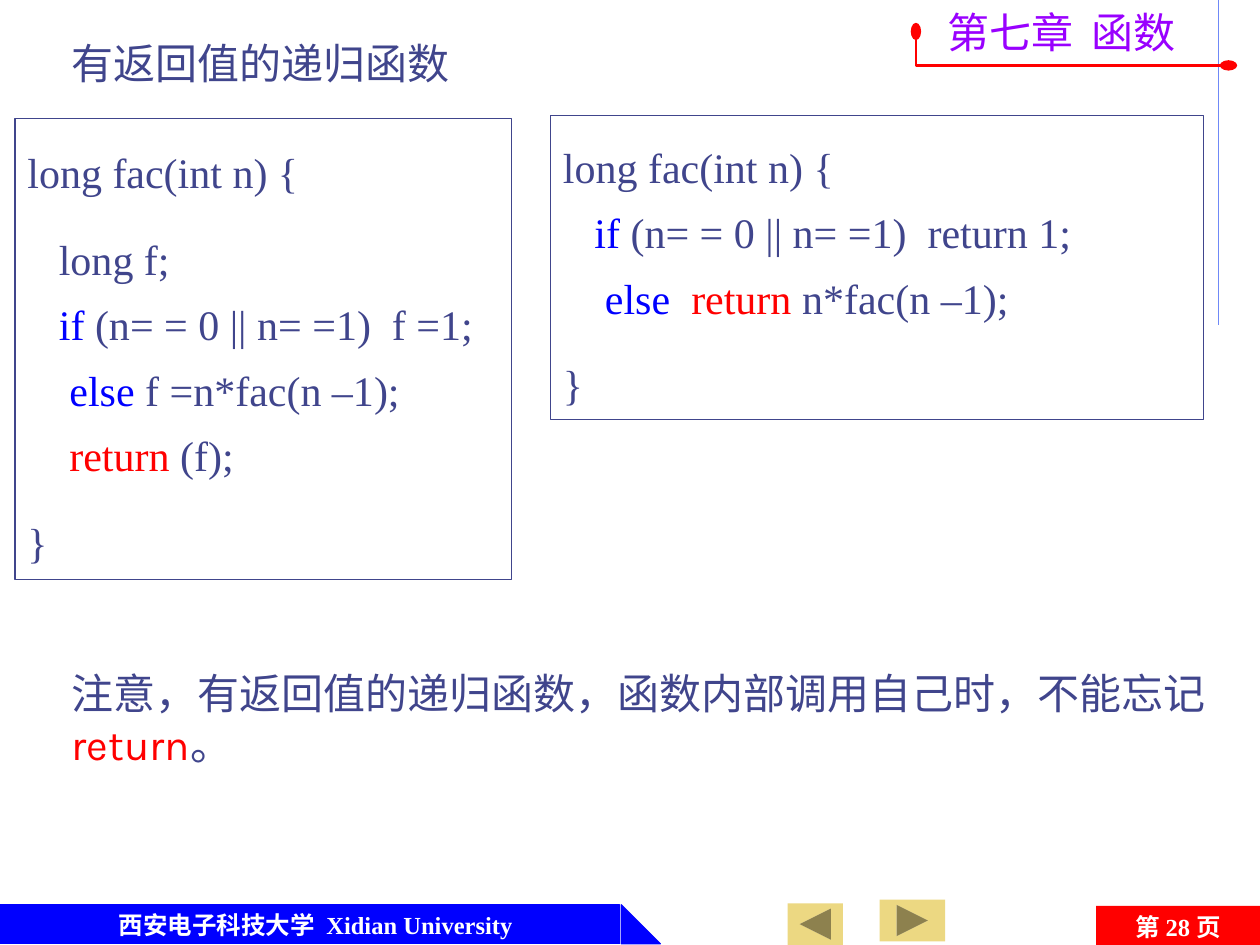
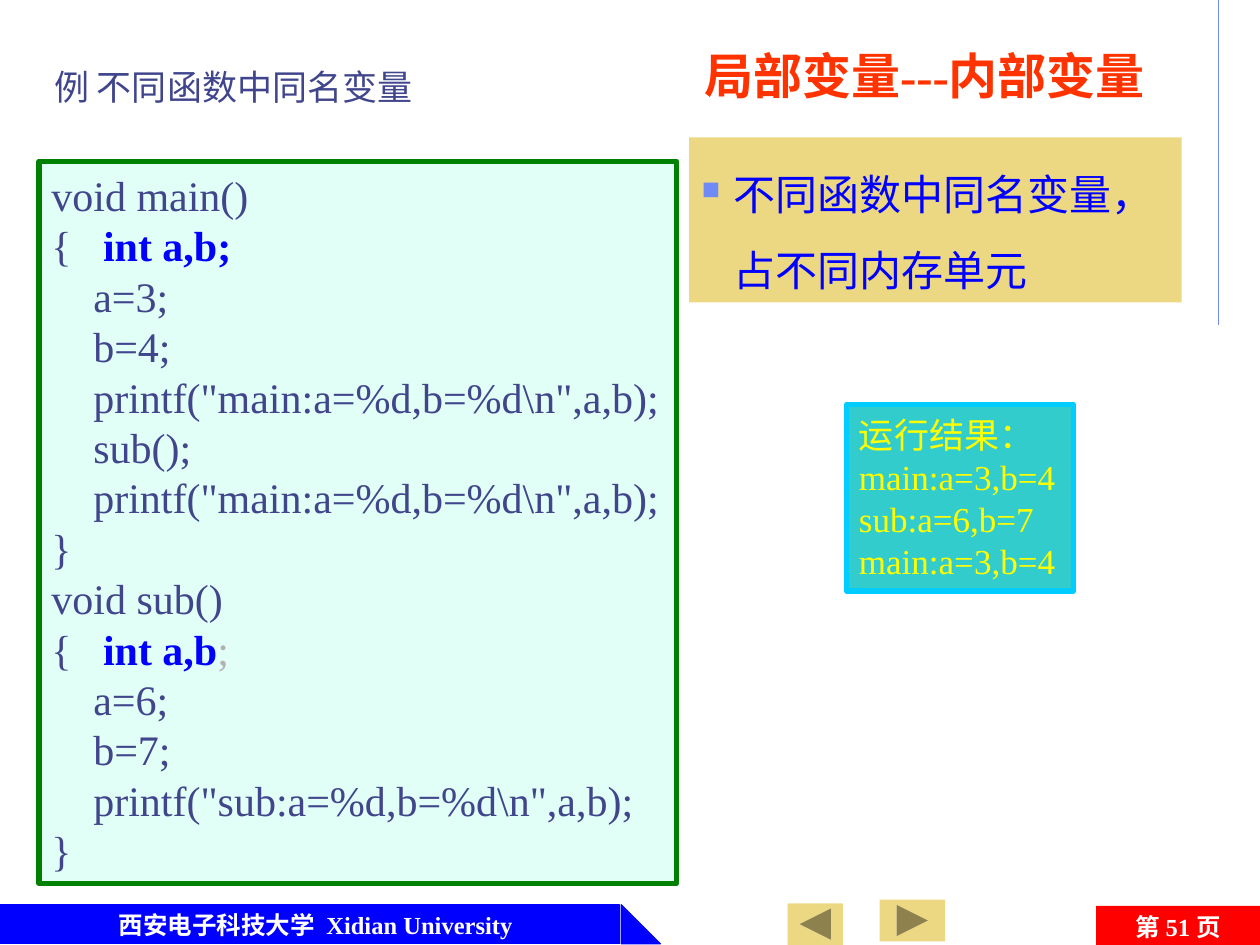
from dataclasses import dataclass
from typing import NamedTuple

from lxml import etree
from pptx import Presentation
from pptx.dml.color import RGBColor
from pptx.enum.shapes import MSO_CONNECTOR, MSO_SHAPE
from pptx.enum.text import MSO_ANCHOR, MSO_AUTO_SIZE, PP_ALIGN
from pptx.oxml.ns import qn
from pptx.util import Pt

RECTANGLE = MSO_SHAPE.RECTANGLE
TRIANGLE = MSO_SHAPE.RIGHT_TRIANGLE
NEXT_BUTTON = MSO_SHAPE.ACTION_BUTTON_FORWARD_OR_NEXT
STRAIGHT = MSO_CONNECTOR.STRAIGHT
LEFT, CENTER = PP_ALIGN.LEFT, PP_ALIGN.CENTER
MIDDLE, TOP = MSO_ANCHOR.MIDDLE, MSO_ANCHOR.TOP
NO_AUTOFIT = MSO_AUTO_SIZE.NONE

SERIF, SANS, CJK = "Times New Roman", "Karla", "Noto Sans CJK SC"
INK, BLUE, RED, WHITE = "40458C", "0000FF", "FF0000", "FFFFFF"
SKY, SAND, VIOLET, ORANGE = "6F89F7", "ECD882", "9900FF", "FF3300"
MINT, GREEN, TEAL, CYAN = "E1FFF7", "008000", "33CCCC", "00CCFF"
YELLOW, GREY = "FFFF00", "B2B2B2"


class Box(NamedTuple):
    left: float
    top: float
    width: float
    height: float


class Part(NamedTuple):
    text: str
    color: str | None = None
    bold: bool | None = None
    font: str | None = None


@dataclass(frozen=True)
class Panel:
    box: Box
    fill: str | None = None
    line: str | None = None
    weight: float = 0.75
    kind: int = RECTANGLE
    rotation: float = 0


Paragraph = str | list[Part]

FOOTER_BANDS = [
    Panel(Box(0, 517, 354.2, 22.3), BLUE, BLUE),
    Panel(Box(355, 517, 22.3, 22.3), BLUE, BLUE, kind=TRIANGLE),
    Panel(Box(502.6, 514.1, 37.4, 23.8), SAND, kind=NEXT_BUTTON),
    Panel(Box(450, 516.2, 31.7, 23.8), SAND, kind=NEXT_BUTTON, rotation=180),
]

LONG_VERSION: list[Paragraph] = [
    "long fac(int n) {",
    [
        Part("   long f;\n   "),
        Part("if ", BLUE),
        Part("(n= = 0 || n= =1)  f =1;\n    "),
        Part("else", BLUE),
        Part(" f =n*fac(n –1);\n    "),
        Part("return", RED),
        Part(" (f);"),
    ],
    "}",
]

SHORT_VERSION: list[Paragraph] = [
    [
        Part("long fac(int n) {\n   "),
        Part("if ", BLUE),
        Part("(n= = 0 || n= =1)  return 1;\n    "),
        Part("else  ", BLUE),
        Part("return ", RED),
        Part("n*fac(n –1);"),
    ],
    "}",
]

MAIN_PRINT = '    printf("main:a=%d,b=%d\\n",a,b);'
SAME_NAMES: list[Paragraph] = [
    "void main()",
    [Part("{   "), Part("int a,b;", BLUE, True)],
    "    a=3;",
    "    b=4;",
    MAIN_PRINT,
    "    sub();",
    MAIN_PRINT,
    "}",
    "void sub()",
    [Part("{   "), Part("int a,b", BLUE, True), Part(";", GREY)],
    "    a=6;",
    "    b=7;",
    '    printf("sub:a=%d,b=%d\\n",a,b);',
    "}",
]


def rgb(value: str) -> RGBColor:
    return RGBColor.from_string(value)


def place(shape, box: Box) -> None:
    shape.left, shape.top, shape.width, shape.height = map(Pt, box)


def add_square_bullet(paragraph, color: str, percent: int, indent: float) -> None:
    properties = paragraph._p.get_or_add_pPr()
    properties.set("marL", str(Pt(indent)))
    properties.set("indent", str(-Pt(indent)))
    bullet_color = etree.SubElement(properties, qn("a:buClr"))
    etree.SubElement(bullet_color, qn("a:srgbClr"), val=color)
    etree.SubElement(properties, qn("a:buSzPct"), val=str(percent * 1000))
    etree.SubElement(properties, qn("a:buChar"), char="■")


def add_part(paragraph, part: Part, size: float, font: str, color: str, bold: bool) -> None:
    for index, piece in enumerate(part.text.split("\n")):
        if index:
            paragraph.add_line_break()
        if not piece:
            continue
        run = paragraph.add_run()
        run.text = piece
        run.font.size = Pt(size)
        run.font.name = part.font or font
        run.font.bold = bold if part.bold is None else part.bold
        run.font.color.rgb = rgb(part.color or color)
        east_asian = etree.Element(qn("a:ea"), typeface=CJK)
        run._r.rPr.find(qn("a:latin")).addnext(east_asian)


def write(shape, paragraphs: list[Paragraph], *, size: float = 24, font: str = SERIF,
          color: str = INK, bold: bool = False, align: int = LEFT, anchor: int = MIDDLE,
          wrap: bool = True, spacing: float = 1.0, gap: float = 0,
          bullet: str | None = None) -> None:
    frame = shape.text_frame
    frame.auto_size = NO_AUTOFIT
    frame.word_wrap = wrap
    frame.vertical_anchor = anchor
    frame.margin_left = frame.margin_right = Pt(7.2)
    frame.margin_top = frame.margin_bottom = Pt(3.6)
    for index, content in enumerate(paragraphs):
        paragraph = frame.add_paragraph() if index else frame.paragraphs[0]
        paragraph.alignment = align
        paragraph.line_spacing = spacing
        paragraph.space_before = Pt(gap if index else 0)
        if bullet:
            add_square_bullet(paragraph, bullet, 60, 18)
        for part in [Part(content)] if isinstance(content, str) else content:
            add_part(paragraph, part, size, font, color, bold)


def add_panel(slide, panel: Panel):
    shape = slide.shapes.add_shape(panel.kind, *map(Pt, panel.box))
    shape.shadow.inherit = False
    shape.rotation = panel.rotation
    if panel.fill:
        shape.fill.solid()
        shape.fill.fore_color.rgb = rgb(panel.fill)
    else:
        shape.fill.background()
    if panel.line:
        shape.line.color.rgb = rgb(panel.line)
        shape.line.width = Pt(panel.weight)
    else:
        shape.line.fill.background()
    return shape


def add_label(slide, box: Box, paragraphs: list[Paragraph], **text_format) -> None:
    write(slide.shapes.add_textbox(*map(Pt, box)), paragraphs, **text_format)


def add_margin_rule(slide) -> None:
    rule = slide.shapes.add_connector(STRAIGHT, Pt(696.2), Pt(0), Pt(696.2), Pt(185.8))
    rule.line.color.rgb = rgb(SKY)
    rule.line.width = Pt(0.75)
    etree.SubElement(rule._element.spPr, qn("a:effectLst"))


def add_footer(slide, page: int) -> None:
    for band in FOOTER_BANDS:
        add_panel(slide, band)
    footer_format = dict(size=14, color=WHITE, bold=True, align=CENTER)
    add_label(slide, Box(20.9, 517, 319, 22.3),
              ["西安电子科技大学  Xidian University"], **footer_format)
    page_tag = add_panel(slide, Panel(Box(626.4, 517.7, 93.6, 23.8), RED))
    number = [Part("第 ", font=CJK), Part(f"{page} "), Part("页", font=CJK)]
    write(page_tag, [number], **footer_format)


def add_chapter_mark(slide, chapter: str) -> None:
    add_label(slide, Box(534.2, 0, 158.4, 36), [chapter],
              font=CJK, color=VIOLET, wrap=False)
    builder = slide.shapes.build_freeform(Pt(523.4), Pt(18))
    builder.add_line_segments([(Pt(523.4), Pt(37.4)), (Pt(702), Pt(37.4))], close=False)
    bracket = builder.convert_to_shape()
    bracket.shadow.inherit = False
    bracket.fill.background()
    bracket.line.color.rgb = rgb(RED)
    bracket.line.width = Pt(1.5)
    outline = bracket.line._get_or_add_ln()
    for end in ("a:headEnd", "a:tailEnd"):
        etree.SubElement(outline, qn(end), type="oval", w="med", len="lg")


def add_page(deck, page: int, title: str, box: Box, **title_format):
    slide = deck.slides.add_slide(deck.slide_layouts[5])
    place(slide.shapes.title, box)
    write(slide.shapes.title, [title], **title_format)
    add_margin_rule(slide)
    add_footer(slide, page)
    return slide


def build_recursion(deck) -> None:
    slide = add_page(deck, 28, "有返回值的递归函数", Box(33.8, 18, 405.4, 36), font=SANS)
    add_chapter_mark(slide, "第七章  函数")
    for box, code in [(Box(8.6, 67.7, 283.7, 263.5), LONG_VERSION),
                      (Box(314.6, 66.2, 373, 173.5), SHORT_VERSION)]:
        write(add_panel(slide, Panel(box, line=INK)), code, spacing=1.3, gap=12)
    reminder = [
        Part("注意，有返回值的递归函数，函数内部调用自己时，不能忘记"),
        Part("return", RED),
        Part("。"),
    ]
    add_label(slide, Box(33.8, 378, 663.1, 65.5), [reminder], font=SANS, anchor=TOP)


def build_local_variables(deck) -> None:
    slide = add_page(deck, 51, "局部变量---内部变量", Box(395.3, 22.3, 307.4, 41),
                     size=28, color=ORANGE, bold=True)
    add_label(slide, Box(23.8, 33.8, 219.6, 31), ["例 不同函数中同名变量"],
              size=20, wrap=False)
    listing = add_panel(slide, Panel(Box(22.3, 92.2, 364.3, 412.6), MINT, GREEN, 3))
    write(listing, SAME_NAMES, wrap=False)
    output = add_panel(slide, Panel(Box(483.8, 231.1, 129.6, 106.6), TEAL, CYAN, 3))
    write(output, ["运行结果：", "main:a=3,b=4", "sub:a=6,b=7", "main:a=3,b=4"],
          size=20, color=YELLOW, wrap=False)
    rule_note = add_panel(slide, Panel(Box(393.8, 78.5, 281.5, 94.3), SAND))
    write(rule_note, ["不同函数中同名变量，占不同内存单元"], font=SANS, color=BLUE,
          anchor=TOP, spacing=1.5, bullet=SKY)


def main() -> None:
    deck = Presentation()
    deck.slide_width, deck.slide_height = Pt(720), Pt(540)
    build_recursion(deck)
    build_local_variables(deck)
    deck.save("out.pptx")


if __name__ == "__main__":
    main()
